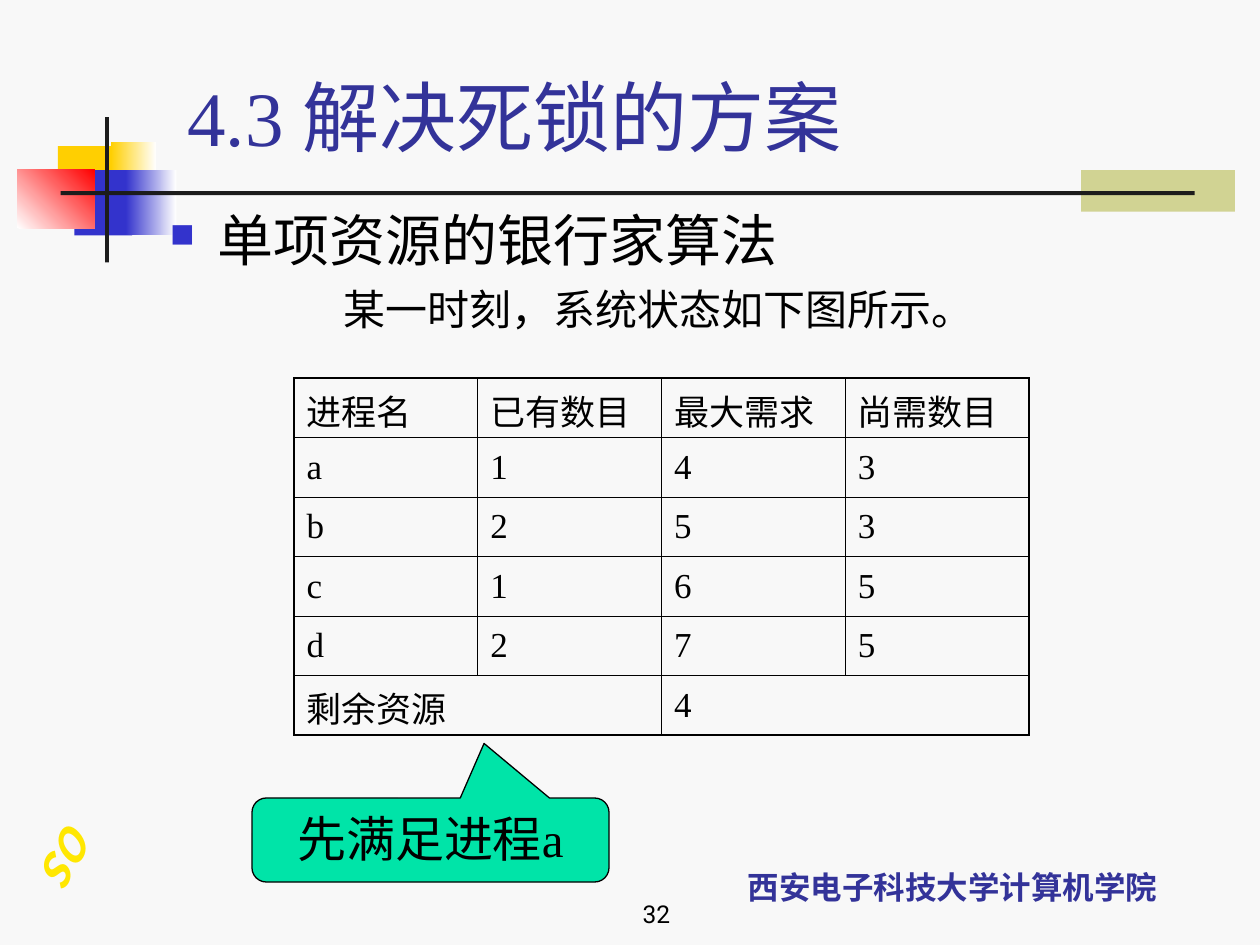
from dataclasses import dataclass
from typing import Optional

from lxml import etree
from pptx import Presentation
from pptx import util as u
from pptx.dml import color
from pptx.enum import shapes, text
from pptx.oxml import ns

COLOURS = {
    "background": "F8F8F8",
    "khaki": "D1D393",
    "gold": "FFCF01",
    "blue": "3333CC",
    "red": "FF0000",
    "white": "FFFFFF",
    "bar": "1C1C1C",
    "navy": "333399",
    "yellow": "FFE701",
    "black": "000000",
    "green": "00E4A8",
}
SERIF = "Times New Roman"
CHINESE = "Noto Sans CJK SC"
STATES = [
    ("进程名", "已有数目", "最大需求", "尚需数目"),
    ("a", "1", "4", "3"),
    ("b", "2", "5", "3"),
    ("c", "1", "6", "5"),
    ("d", "2", "7", "5"),
    ("剩余资源", None, "4", None),
]
ROW_HEIGHT = 34
COLUMN_WIDTH = 105
OUTER_LINE = 1.08
INNER_LINE = 0.45


@dataclass
class Block:
    left: float
    top: float
    width: float
    height: float
    colour: str
    fade_to: Optional[str] = None
    angle: float = 0


@dataclass
class Label:
    words: str
    left: float
    top: float
    width: float
    height: float
    size: float
    font: str = SERIF
    colour: str = "black"
    anchor: text.MSO_ANCHOR = text.MSO_ANCHOR.BOTTOM
    align: text.PP_ALIGN = text.PP_ALIGN.LEFT
    bold: bool = False


BLOCKS = [
    Block(617.8, 97.2, 87.8, 23.8, "khaki"),
    Block(33.1, 83.5, 34.6, 37.4, "gold"),
    Block(63.4, 81.4, 25.9, 37.4, "gold", "white"),
    Block(42.5, 97.2, 33.1, 37.4, "blue"),
    Block(72, 97.2, 28.8, 37.4, "blue", "white"),
    Block(9.8, 96.8, 44.2, 33.6, "white", "red", 45),
    Block(60, 67, 2.3, 83, "bar"),
    Block(34.7, 109.2, 648, 2.3, "bar"),
]
LABELS = [
    Label("西安电子科技大学计算机学院", 382.3, 479.5, 324, 41.8, 18, CHINESE, "navy",
          align=text.PP_ALIGN.CENTER, bold=True),
    Label("32", 240, 498, 150, 36, 14, "Roboto", align=text.PP_ALIGN.RIGHT),
    Label("4.3 解决死锁的方案", 100, 36, 613.5, 60, 44, colour="navy"),
]


def rgb(name: str) -> color.RGBColor:
    return color.RGBColor.from_string(COLOURS[name])


def apply(target, values: dict) -> None:
    for name, value in values.items():
        setattr(target, name, value)


def add_span(para, words: str, size: float, font: str = SERIF, colour: str = "black",
             **extra) -> None:
    span = para.add_run()
    span.text = words
    apply(span.font, {"size": u.Pt(size), "name": font, **extra})
    span.font.color.rgb = rgb(colour)
    east = etree.SubElement(span.font._element, ns.qn("a:ea"))
    east.set("typeface", CHINESE)


def add_block(page, block: Block) -> None:
    box = page.shapes.add_shape(
        shapes.MSO_SHAPE.RECTANGLE,
        *map(u.Pt, (block.left, block.top, block.width, block.height)))
    box.shadow.inherit = False
    box.line.fill.background()
    if block.fade_to:
        box.fill.gradient()
        box.fill.gradient_angle = block.angle
        for stop, name in zip(box.fill.gradient_stops, (block.colour, block.fade_to)):
            stop.color.rgb = rgb(name)
    else:
        box.fill.solid()
        box.fill.fore_color.rgb = rgb(block.colour)


def add_label(page, label: Label) -> None:
    box = page.shapes.add_textbox(
        *map(u.Pt, (label.left, label.top, label.width, label.height)))
    apply(box.text_frame, {"word_wrap": True, "vertical_anchor": label.anchor})
    para = box.text_frame.paragraphs[0]
    para.alignment = label.align
    add_span(para, label.words, label.size, label.font, label.colour, bold=label.bold)


def add_emblem(page) -> None:
    box = page.shapes.add_textbox(*map(u.Pt, (13, 462.2, 47.5, 61.2)))
    box.rotation = 29.3
    frame = box.text_frame
    apply(frame, {
        "word_wrap": False, "vertical_anchor": text.MSO_ANCHOR.MIDDLE,
        "margin_left": u.Pt(3.6), "margin_right": u.Pt(3.6),
        "margin_top": u.Pt(7.2), "margin_bottom": u.Pt(7.2),
    })
    frame._txBody.bodyPr.set("vert", "eaVert")
    add_span(frame.paragraphs[0], "OS", 24, CHINESE, "yellow", bold=True, italic=True)


def add_body(page) -> None:
    box = page.shapes.add_textbox(*map(u.Pt, (90, 114, 612, 102)))
    frame = box.text_frame
    frame.word_wrap = True
    heading, detail = frame.paragraphs[0], frame.add_paragraph()
    props = heading._p.get_or_add_pPr()
    props.set("marL", str(u.Pt(27)))
    props.set("indent", str(u.Pt(-27)))
    bullet_colour = etree.SubElement(props, ns.qn("a:buClr"))
    etree.SubElement(bullet_colour, ns.qn("a:srgbClr")).set("val", COLOURS["blue"])
    etree.SubElement(props, ns.qn("a:buSzPct")).set("val", "60000")
    etree.SubElement(props, ns.qn("a:buChar")).set("char", "■")
    add_span(heading, "单项资源的银行家算法", 32)
    detail._p.get_or_add_pPr().set("marL", str(u.Pt(99)))
    detail.space_before = u.Pt(6)
    add_span(detail, "某一时刻，系统状态如下图所示。", 24)


def set_borders(cell, widths: dict[str, float]) -> None:
    props = cell._tc.get_or_add_tcPr()
    for place, (side, width) in enumerate(widths.items()):
        line = etree.Element(ns.qn(f"a:ln{side}"), w=str(u.Pt(width)))
        fill = etree.SubElement(line, ns.qn("a:solidFill"))
        etree.SubElement(fill, ns.qn("a:srgbClr")).set("val", COLOURS["black"])
        props.insert(place, line)


def add_state_table(page) -> None:
    rows, columns = len(STATES), len(STATES[0])
    table = page.shapes.add_table(
        rows, columns, *map(u.Pt, (168, 216, COLUMN_WIDTH * columns, ROW_HEIGHT * rows))).table
    apply(table, {"first_row": False, "horz_banding": False})
    for column in (0, 2):
        table.cell(rows - 1, column).merge(table.cell(rows - 1, column + 1))
    for row, values in enumerate(STATES):
        for column, words in enumerate(values):
            cell = table.cell(row, column)
            cell.vertical_anchor = text.MSO_ANCHOR.MIDDLE
            cell.fill.background()
            end = column + (cell.span_width if cell.is_merge_origin else 1)
            outer = {"L": column == 0, "R": end == columns, "T": row == 0, "B": row == rows - 1}
            set_borders(cell, {side: OUTER_LINE if edge else INNER_LINE
                               for side, edge in outer.items()})
            if words:
                add_span(cell.text_frame.paragraphs[0], words, 20)


def add_callout(page) -> None:
    box = page.shapes.add_shape(
        shapes.MSO_SHAPE.ROUNDED_RECTANGULAR_CALLOUT, *map(u.Pt, (144, 456, 204, 48)))
    box.shadow.inherit = False
    for index, value in enumerate((0.15, -1.15, 0.17)):
        box.adjustments[index] = value
    box.fill.solid()
    box.fill.fore_color.rgb = rgb("green")
    box.line.color.rgb = rgb("black")
    box.line.width = u.Pt(0.75)
    box.text_frame.vertical_anchor = text.MSO_ANCHOR.TOP
    para = box.text_frame.paragraphs[0]
    para.alignment = text.PP_ALIGN.CENTER
    add_span(para, "先满足进程a", 28)


def main() -> None:
    deck = Presentation()
    apply(deck, {"slide_width": u.Pt(720), "slide_height": u.Pt(540)})
    page = deck.slides.add_slide(deck.slide_layouts[6])
    page.background.fill.solid()
    page.background.fill.fore_color.rgb = rgb("background")
    for block in BLOCKS:
        add_block(page, block)
    for label in LABELS:
        add_label(page, label)
    add_emblem(page)
    add_body(page)
    add_state_table(page)
    add_callout(page)
    deck.save("out.pptx")


if __name__ == "__main__":
    main()
